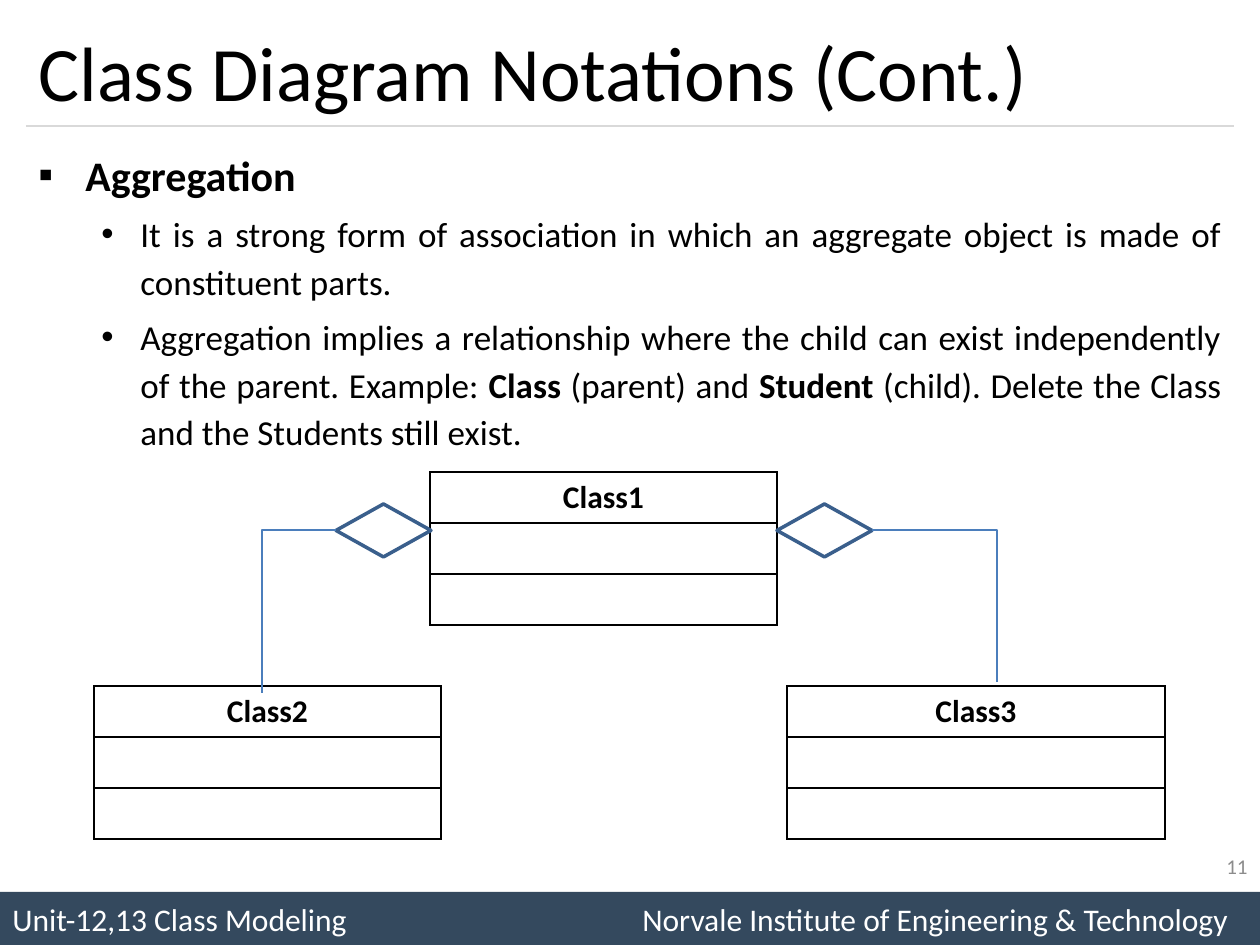
from dataclasses import dataclass

from lxml import etree
from pptx import Presentation
from pptx.dml.color import RGBColor
from pptx.enum.shapes import MSO_CONNECTOR, MSO_SHAPE
from pptx.enum.text import MSO_ANCHOR, PP_ALIGN
from pptx.oxml.ns import qn
from pptx.util import Emu, Pt

PX = 914400 // 126  # EMU per pixel


@dataclass(frozen=True)
class Theme:
    font: str = "Calibri"
    text: str = "000000"
    paper: str = "FFFFFF"
    bar: str = "34495E"
    rule: str = "D9D9D9"
    muted: str = "8C8C8C"
    diamond: str = "3A5F8C"
    link: str = "4B7EBC"
    title_size: int = 44
    heading_size: int = 24
    body_size: int = 20
    label_size: int = 18
    number_size: int = 12


THEME = Theme()


def px(*values):
    return [Emu(v * PX) for v in values]


def rgb(value):
    return RGBColor.from_string(value)


def add_run(paragraph, text, size, color=THEME.text, bold=False):
    run = paragraph.add_run()
    run.text = text
    run.font.name, run.font.size, run.font.bold = THEME.font, Pt(size), bold
    run.font.color.rgb = rgb(color)


def add_text(slide, box, anchor=MSO_ANCHOR.TOP):
    frame = slide.shapes.add_textbox(*px(*box)).text_frame
    frame.word_wrap = True
    frame.vertical_anchor = anchor
    return frame


def add_bullet(paragraph, mark, runs, size, left, hanging):
    paragraph.alignment = PP_ALIGN.JUSTIFY
    paragraph.line_spacing = 1.14
    paragraph.space_before = Pt(size * 0.2)
    props = paragraph._p.get_or_add_pPr()
    props.set("marL", str(left * PX))
    props.set("indent", str(-hanging * PX))
    etree.SubElement(props, qn("a:buFont"), typeface="Arial")
    etree.SubElement(props, qn("a:buChar"), char=mark)
    for text, bold in runs:
        add_run(paragraph, text, size, bold=bold)


def add_line(slide, kind, start, end, color):
    line = slide.shapes.add_connector(kind, *px(*start, *end))
    line.line.color.rgb = rgb(color)
    line.line.width = Pt(0.75)
    etree.SubElement(line._element.spPr, qn("a:effectLst"))
    return line


def add_elbow(slide, start, end):
    # One bend: across first, then down
    line = add_line(slide, MSO_CONNECTOR.ELBOW, start, end, THEME.link)
    line._element.spPr.find(qn("a:prstGeom")).set("prst", "bentConnector2")


def add_shape(slide, kind, box, fill, outline=None):
    shape = slide.shapes.add_shape(kind, *px(*box))
    shape.shadow.inherit = False
    shape.fill.solid()
    shape.fill.fore_color.rgb = rgb(fill)
    if outline:
        shape.line.color.rgb = rgb(outline)
        shape.line.width = Pt(2)
    else:
        shape.line.fill.background()
    return shape


def add_borders(cell):
    props = cell._tc.get_or_add_tcPr()
    for side in ("lnL", "lnR", "lnT", "lnB"):
        border = etree.SubElement(props, qn(f"a:{side}"), w=str(Pt(1)))
        fill = etree.SubElement(border, qn("a:solidFill"))
        etree.SubElement(fill, qn("a:srgbClr"), val=THEME.text)


def add_class(slide, name, left, top, width):
    rows, row_height = 3, 51
    table = slide.shapes.add_table(
        rows, 1, *px(left, top, width, rows * row_height)).table
    table.first_row = table.horz_banding = False
    for row in table.rows:
        row.height = Emu(row_height * PX)
        add_borders(row.cells[0])
        row.cells[0].fill.background()
    heading = table.cell(0, 0).text_frame.paragraphs[0]
    heading.alignment = PP_ALIGN.CENTER
    add_run(heading, name, THEME.label_size, bold=True)


def add_footer(slide):
    bar = add_shape(slide, MSO_SHAPE.RECTANGLE, (0, 892, 1260, 53), THEME.bar)
    bar.text_frame.vertical_anchor = MSO_ANCHOR.MIDDLE
    paragraph = bar.text_frame.paragraphs[0]
    paragraph.alignment = PP_ALIGN.LEFT
    tabs = etree.SubElement(paragraph._p.get_or_add_pPr(), qn("a:tabLst"))
    etree.SubElement(tabs, qn("a:tab"), pos=str(630 * PX), algn="l")
    add_run(paragraph, "Unit-12,13 Class Modeling\t"
            "Norvale Institute of Engineering & Technology",
            THEME.label_size, THEME.paper)


def add_body(slide):
    frame = add_text(slide, (26, 136, 1208, 735))
    add_bullet(frame.paragraphs[0], "▪", [("Aggregation", True)],
               THEME.heading_size, 47, 47)
    points = [
        [("It is a strong form of association in which an aggregate object "
          "is made of constituent parts.", False)],
        [("Aggregation implies a relationship where the child can exist "
          "independently of the parent. Example: ", False),
         ("Class", True), (" (parent) and ", False), ("Student", True),
         (" (child). Delete the Class and the Students still exist.", False)],
    ]
    for runs in points:
        add_bullet(frame.add_paragraph(), "•", runs, THEME.body_size, 102, 39)


def add_diagram(slide):
    # Classes
    for name, left, top, width in (("Class2", 94, 686, 347),
                                   ("Class3", 787, 686, 378),
                                   ("Class1", 430, 472, 347)):
        add_class(slide, name, left, top, width)
    # Aggregation diamonds on both sides of Class1
    for left in (336, 777):
        add_shape(slide, MSO_SHAPE.FLOWCHART_DECISION, (left, 504, 95, 53),
                  THEME.paper, THEME.diamond)
    # Links down to the parts
    add_elbow(slide, (336, 530), (262, 693))
    add_elbow(slide, (872, 530), (997, 682))


def main():
    deck = Presentation()
    deck.slide_width, deck.slide_height = px(1260, 945)
    slide = deck.slides.add_slide(deck.slide_layouts[6])

    # Frame of the page
    add_footer(slide)
    add_line(slide, MSO_CONNECTOR.STRAIGHT, (26, 126), (1234, 126), THEME.rule)

    # Title, body and page number
    title = add_text(slide, (26, 15, 1208, 111), MSO_ANCHOR.MIDDLE)
    add_run(title.paragraphs[0], "Class Diagram Notations (Cont.)",
            THEME.title_size)
    add_body(slide)
    number = add_text(slide, (966, 841, 294, 50), MSO_ANCHOR.MIDDLE)
    number.paragraphs[0].alignment = PP_ALIGN.RIGHT
    add_run(number.paragraphs[0], "11", THEME.number_size, THEME.muted)

    add_diagram(slide)
    deck.save("out.pptx")


main()
